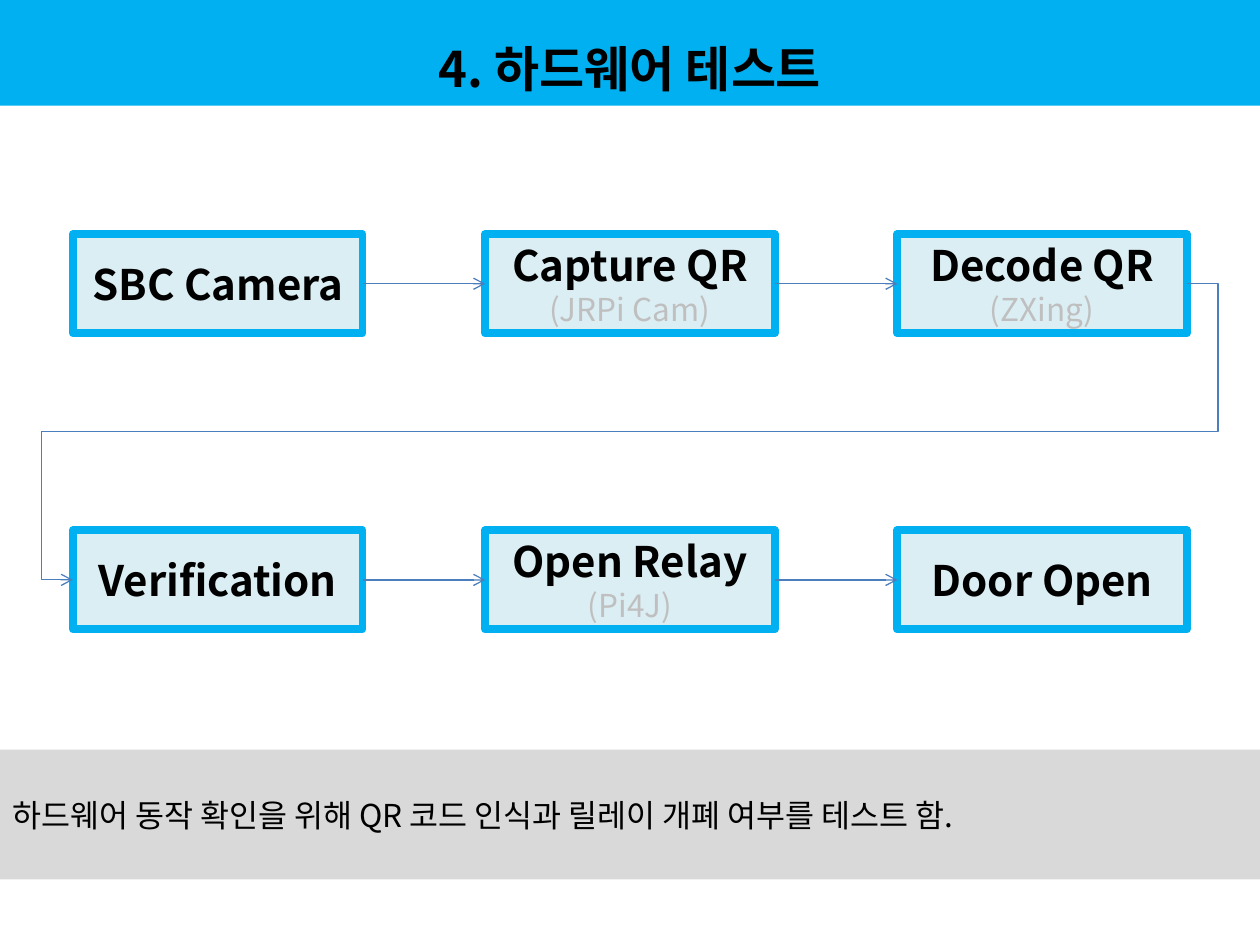
from lxml import etree
from pptx import Presentation, util as u
from pptx.dml.color import RGBColor
from pptx.enum import shapes, text
from pptx.oxml.ns import qn

FONT = "Noto Sans CJK KR"
COLORS = {
    "accent": "00B0F0",
    "box": "DBEEF4",
    "arrow": "4B7EBC",
    "note": "D9D9D9",
    "ink": "000000",
    "muted": "BFBFBF",
}
SLIDE_WIDTH, SLIDE_HEIGHT = u.Cm(25.4), u.Cm(19.05)
BOX_WIDTH, BOX_HEIGHT = u.Cm(5.84), u.Cm(2)
LEFT, TOP = u.Cm(1.47), u.Cm(4.72)
COLUMN_STEP, ROW_STEP = u.Cm(8.31), u.Cm(5.97)
WRAP_MARGIN = u.Cm(0.63)
STEPS = [
    [("SBC Camera", None), ("Capture QR", "(JRPi Cam)"), ("Decode QR", "(ZXing)")],
    [("Verification", None), ("Open Relay", "(Pi4J)"), ("Door Open", None)],
]


def color(name):
    return RGBColor.from_string(COLORS[name])


class FlowSlide:
    def __init__(self, slide):
        self.slide = slide

    def fill(self, shape, name):
        shape.fill.solid()
        shape.fill.fore_color.rgb = color(name)

    def style_text(self, paragraph, size, name="ink", bold=False, align=text.PP_ALIGN.CENTER):
        paragraph.alignment = align
        for run in paragraph.runs:
            run.font.size = u.Pt(size)
            run.font.bold = bold
            run.font.name = FONT
            run.font.color.rgb = color(name)
            east_asian = etree.SubElement(run.font._element, qn("a:ea"))
            east_asian.set("typeface", FONT)

    def title(self, wording, height):
        shape = self.slide.shapes.title
        shape.left, shape.top, shape.width, shape.height = 0, 0, SLIDE_WIDTH, height
        self.fill(shape, "accent")
        frame = shape.text_frame
        frame.text = wording
        frame.auto_size = text.MSO_AUTO_SIZE.NONE
        frame.vertical_anchor = text.MSO_ANCHOR.MIDDLE
        frame.paragraphs[0].line_spacing = 1.5
        self.style_text(frame.paragraphs[0], 28, bold=True)

    def rectangle(self, left, top, width, height, fill):
        shape = self.slide.shapes.add_shape(
            shapes.MSO_SHAPE.RECTANGLE, left, top, width, height)
        shape.shadow.inherit = False
        shape.line.fill.background()
        self.fill(shape, fill)
        shape.text_frame.word_wrap = True
        shape.text_frame.vertical_anchor = text.MSO_ANCHOR.MIDDLE
        return shape

    def step(self, left, top, name, library):
        shape = self.rectangle(left, top, BOX_WIDTH, BOX_HEIGHT, "box")
        shape.line.color.rgb = color("accent")
        shape.line.width = u.Pt(4.5)
        frame = shape.text_frame
        frame.text = name
        self.style_text(frame.paragraphs[0], 24, bold=True)
        if library:
            paragraph = frame.add_paragraph()
            paragraph.text = library
            self.style_text(paragraph, 18, "muted")
        return shape

    def note(self, wording, top, height):
        shape = self.rectangle(0, top, SLIDE_WIDTH, height, "note")
        shape.text_frame.text = wording
        self.style_text(shape.text_frame.paragraphs[0], 18, align=text.PP_ALIGN.LEFT)

    def arrow(self, source, target, kind=shapes.MSO_CONNECTOR.STRAIGHT):
        """Draw an arrow from the right side of source to the left side of target."""
        connector = self.slide.shapes.add_connector(
            kind,
            source.left + source.width, source.top + source.height // 2,
            target.left, target.top + target.height // 2)
        connector.line.color.rgb = color("arrow")
        connector.line.width = u.Pt(0.75)
        line = connector.line._get_or_add_ln()
        etree.SubElement(line, qn("a:tailEnd")).set("type", "arrow")
        etree.SubElement(connector._element.spPr, qn("a:effectLst"))
        return connector

    def wrap_arrow(self, source, target):
        """Lead from the end of one row around to the start of the next."""
        connector = self.arrow(source, target, shapes.MSO_CONNECTOR.ELBOW)
        overshoot = round(100000 * WRAP_MARGIN / connector.width)
        geometry = connector._element.spPr.find(qn("a:prstGeom"))
        geometry.set("prst", "bentConnector5")
        guides = geometry.find(qn("a:avLst"))
        if guides is None:
            guides = etree.SubElement(geometry, qn("a:avLst"))
        for number, value in enumerate((-overshoot, 50000, 100000 + overshoot), 1):
            guide = etree.SubElement(guides, qn("a:gd"))
            guide.set("name", f"adj{number}")
            guide.set("fmla", f"val {value}")


def main():
    presentation = Presentation()
    presentation.slide_width, presentation.slide_height = SLIDE_WIDTH, SLIDE_HEIGHT
    title_only = presentation.slide_layouts[5]
    flow = FlowSlide(presentation.slides.add_slide(title_only))

    flow.title("4. 하드웨어 테스트", u.Cm(2.13))
    rows = [
        [flow.step(LEFT + column * COLUMN_STEP, TOP + row * ROW_STEP, *step)
         for column, step in enumerate(steps)]
        for row, steps in enumerate(STEPS)
    ]
    for boxes in rows:
        for source, target in zip(boxes, boxes[1:]):
            connector = flow.arrow(source, target)
            connector.begin_connect(source, 3)
            connector.end_connect(target, 1)
    flow.wrap_arrow(rows[0][-1], rows[1][0])
    flow.note("하드웨어 동작 확인을 위해 QR 코드 인식과 릴레이 개폐 여부를 테스트 함.",
              u.Cm(15.11), u.Cm(2.62))
    presentation.save("out.pptx")


if __name__ == "__main__":
    main()
